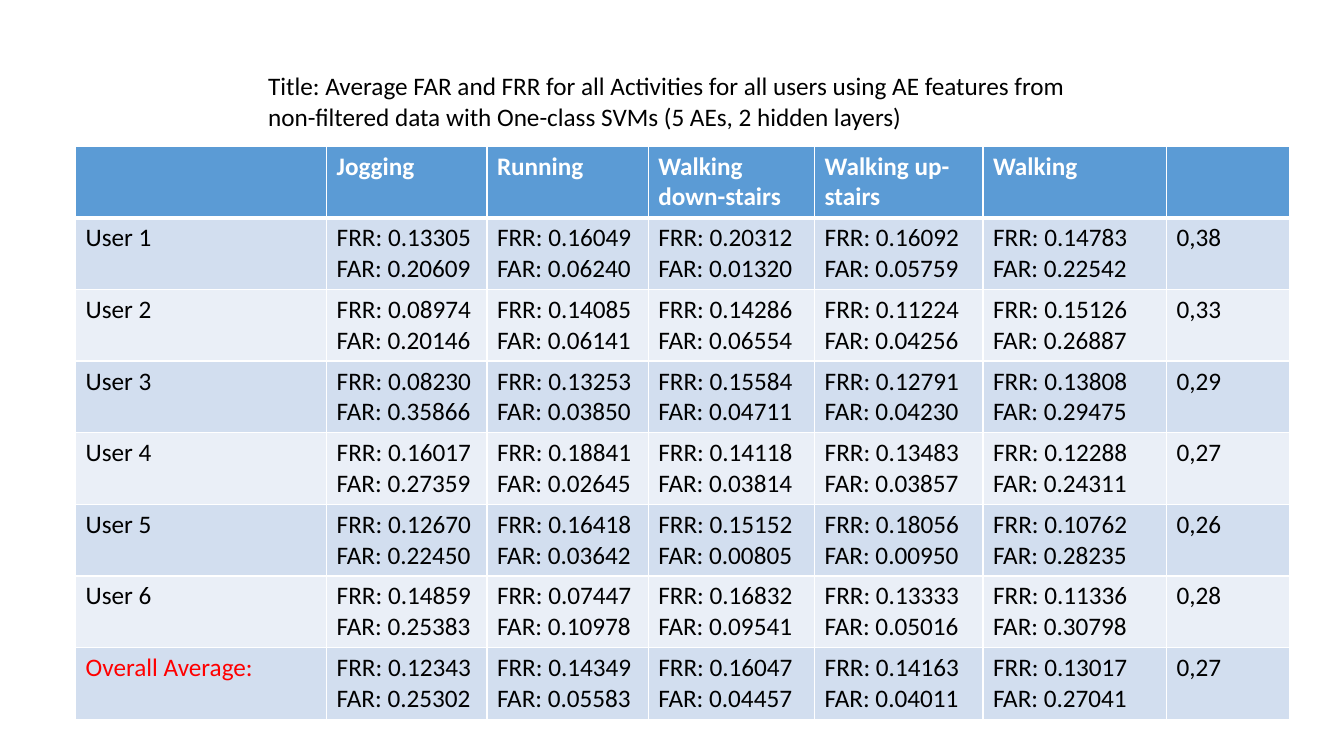
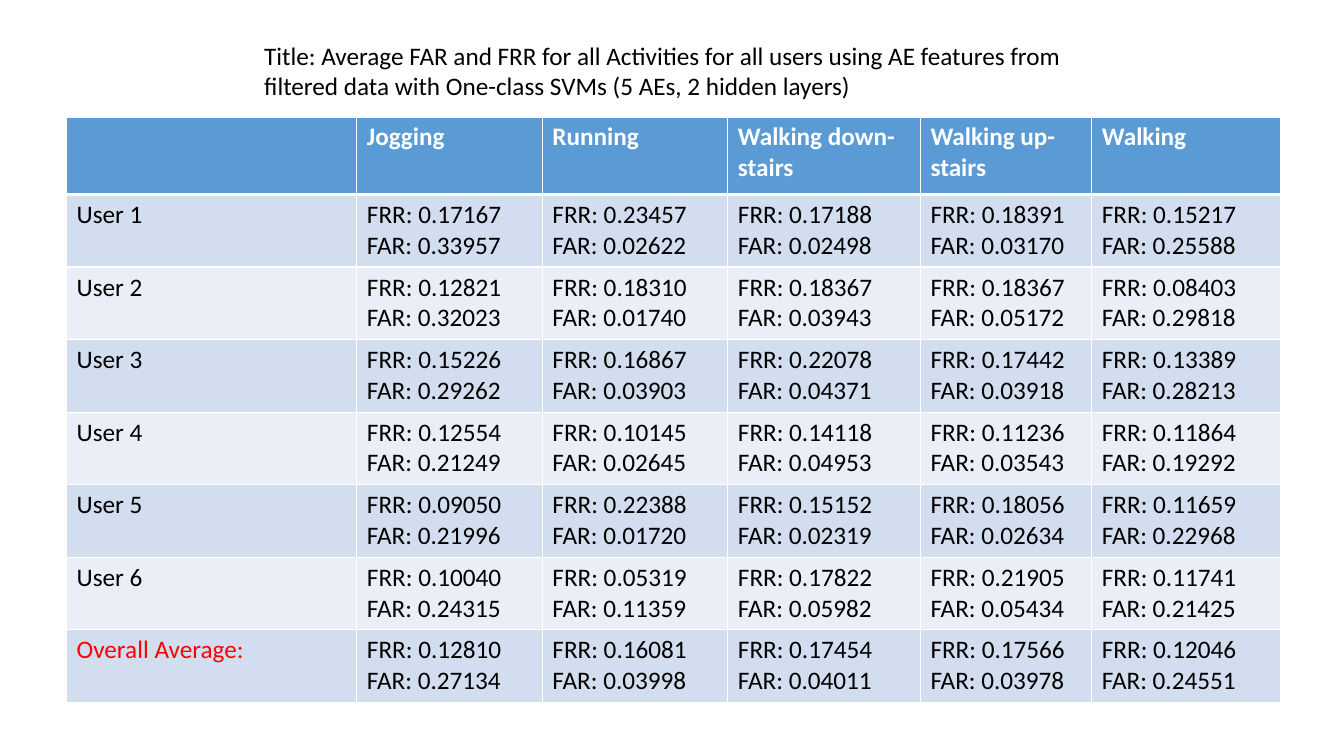
from lxml.etree import SubElement
from pptx import Presentation
from pptx.dml.color import RGBColor
from pptx.enum.text import MSO_ANCHOR, MSO_AUTO_SIZE, PP_ALIGN
from pptx.oxml.ns import qn
from pptx.util import Inches, Pt

FONT = "Calibri"
FONT_SIZE = Pt(18)
WHITE, BLACK, RED = "FFFFFF", "000000", "FF0000"
HEADER_FILL = "5B9BD5"
BAND_FILLS = ["EAEFF7", "D2DEEF"]
ACTIVITIES = ["Jogging", "Running", "Walking down-stairs", "Walking up-stairs", "Walking"]
ROW_LABELS = [f"User {number}" for number in range(1, 7)] + ["Overall Average:"]

# Each row of rates holds an (FRR, FAR) pair for every activity.
RESULTS = [
    {
        "data": "non-filtered",
        "title_box": (2.56, 0.65, 8.13, 0.71),
        "table_position": (0.75, 1.45),
        "column_widths": [2.49, 1.59, 1.6, 1.65, 1.67, 1.82, 1.22],
        "row_heights": [0.7] + [0.71] * 7,
        "rates": [
            [("0.13305", "0.20609"), ("0.16049", "0.06240"), ("0.20312", "0.01320"),
             ("0.16092", "0.05759"), ("0.14783", "0.22542")],
            [("0.08974", "0.20146"), ("0.14085", "0.06141"), ("0.14286", "0.06554"),
             ("0.11224", "0.04256"), ("0.15126", "0.26887")],
            [("0.08230", "0.35866"), ("0.13253", "0.03850"), ("0.15584", "0.04711"),
             ("0.12791", "0.04230"), ("0.13808", "0.29475")],
            [("0.16017", "0.27359"), ("0.18841", "0.02645"), ("0.14118", "0.03814"),
             ("0.13483", "0.03857"), ("0.12288", "0.24311")],
            [("0.12670", "0.22450"), ("0.16418", "0.03642"), ("0.15152", "0.00805"),
             ("0.18056", "0.00950"), ("0.10762", "0.28235")],
            [("0.14859", "0.25383"), ("0.07447", "0.10978"), ("0.16832", "0.09541"),
             ("0.13333", "0.05016"), ("0.11336", "0.30798")],
            [("0.12343", "0.25302"), ("0.14349", "0.05583"), ("0.16047", "0.04457"),
             ("0.14163", "0.04011"), ("0.13017", "0.27041")],
        ],
        "totals": ["0,38", "0,33", "0,29", "0,27", "0,26", "0,28", "0,27"],
    },
    {
        "data": "filtered",
        "title_box": (2.52, 0.35, 8.13, 1.01),
        "table_position": (0.66, 1.16),
        "column_widths": [2.88, 1.84, 1.84, 1.91, 1.7, 1.87],
        "row_heights": [0.77] + [0.72] * 7,
        "rates": [
            [("0.17167", "0.33957"), ("0.23457", "0.02622"), ("0.17188", "0.02498"),
             ("0.18391", "0.03170"), ("0.15217", "0.25588")],
            [("0.12821", "0.32023"), ("0.18310", "0.01740"), ("0.18367", "0.03943"),
             ("0.18367", "0.05172"), ("0.08403", "0.29818")],
            [("0.15226", "0.29262"), ("0.16867", "0.03903"), ("0.22078", "0.04371"),
             ("0.17442", "0.03918"), ("0.13389", "0.28213")],
            [("0.12554", "0.21249"), ("0.10145", "0.02645"), ("0.14118", "0.04953"),
             ("0.11236", "0.03543"), ("0.11864", "0.19292")],
            [("0.09050", "0.21996"), ("0.22388", "0.01720"), ("0.15152", "0.02319"),
             ("0.18056", "0.02634"), ("0.11659", "0.22968")],
            [("0.10040", "0.24315"), ("0.05319", "0.11359"), ("0.17822", "0.05982"),
             ("0.21905", "0.05434"), ("0.11741", "0.21425")],
            [("0.12810", "0.27134"), ("0.16081", "0.03998"), ("0.17454", "0.04011"),
             ("0.17566", "0.03978"), ("0.12046", "0.24551")],
        ],
        "totals": [],
    },
]


def format_text(text_frame, color, bold=False):
    """Apply the shared font with a colour and weight to every run."""
    for paragraph in text_frame.paragraphs:
        paragraph.alignment = PP_ALIGN.LEFT
        for run in paragraph.runs:
            run.font.name = FONT
            run.font.size = FONT_SIZE
            run.font.bold = bold
            run.font.color.rgb = RGBColor.from_string(color)


def style_cell(cell, fill, top, bottom):
    """Give a cell white borders, with top and bottom in points, and a fill."""
    properties = cell._tc.get_or_add_tcPr()
    for side, width in (("L", 1), ("R", 1), ("T", top), ("B", bottom)):
        line = SubElement(properties, qn(f"a:ln{side}"), w=str(Pt(width)))
        SubElement(SubElement(line, qn("a:solidFill")), qn("a:srgbClr"), val=WHITE)
    cell.fill.solid()
    cell.fill.fore_color.rgb = RGBColor.from_string(fill)


presentation = Presentation()
presentation.slide_width = Inches(13.33)
presentation.slide_height = Inches(7.5)
title_only = presentation.slide_layouts[5]

for result in RESULTS:
    slide = presentation.slides.add_slide(title_only)

    title = slide.shapes.title
    title.left, title.top, title.width, title.height = map(Inches, result["title_box"])
    title_frame = title.text_frame
    title_frame.text = (
        "Title: Average FAR and FRR for all Activities for all users using AE features "
        f"from {result['data']} data with One-class SVMs (5 AEs, 2 hidden layers)"
    )
    title_frame.word_wrap = True
    title_frame.auto_size = MSO_AUTO_SIZE.NONE
    title_frame.vertical_anchor = MSO_ANCHOR.TOP
    format_text(title_frame, BLACK)

    rows = [[""] + ACTIVITIES]
    for label, rates in zip(ROW_LABELS, result["rates"]):
        rows.append([label] + [f"FRR: {frr}\nFAR: {far}" for frr, far in rates])
    if result["totals"]:
        for row, total in zip(rows, [""] + result["totals"]):
            row.append(total)

    widths, heights = result["column_widths"], result["row_heights"]
    left, top = result["table_position"]
    table = slide.shapes.add_table(
        len(rows), len(widths), Inches(left), Inches(top),
        Inches(sum(widths)), Inches(sum(heights)),
    ).table
    for column, width in zip(table.columns, widths):
        column.width = Inches(width)
    for row, height in zip(table.rows, heights):
        row.height = Inches(height)

    for row_index, row in enumerate(rows):
        is_header = row_index == 0
        for column_index, text in enumerate(row):
            cell = table.cell(row_index, column_index)
            cell.text_frame.text = text
            if is_header:
                fill, color = HEADER_FILL, WHITE
            else:
                fill = BAND_FILLS[row_index % 2]
                color = RED if text == ROW_LABELS[-1] else BLACK
            style_cell(cell, fill, 3 if row_index == 1 else 1, 3 if is_header else 1)
            format_text(cell.text_frame, color, is_header)

presentation.save("out.pptx")
